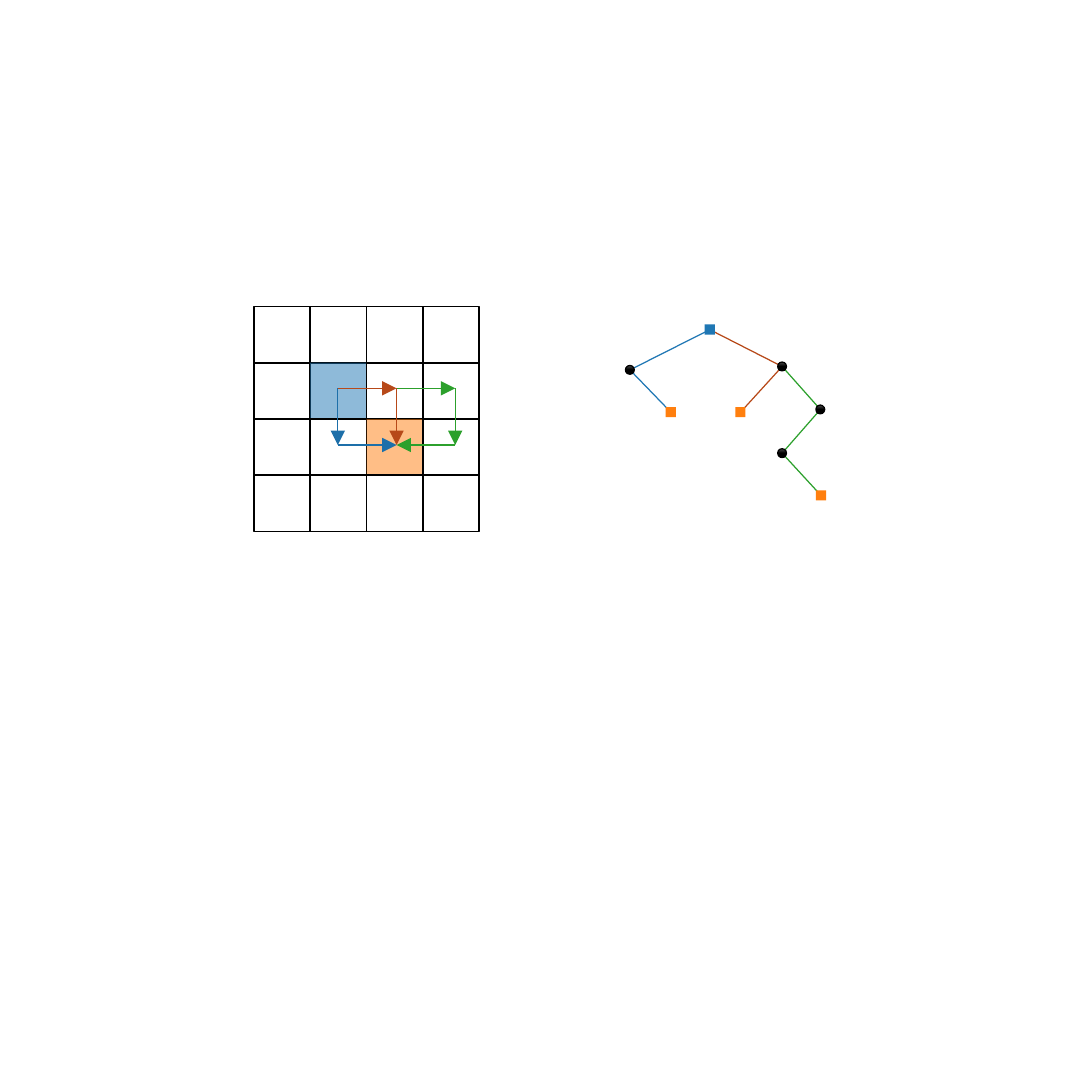
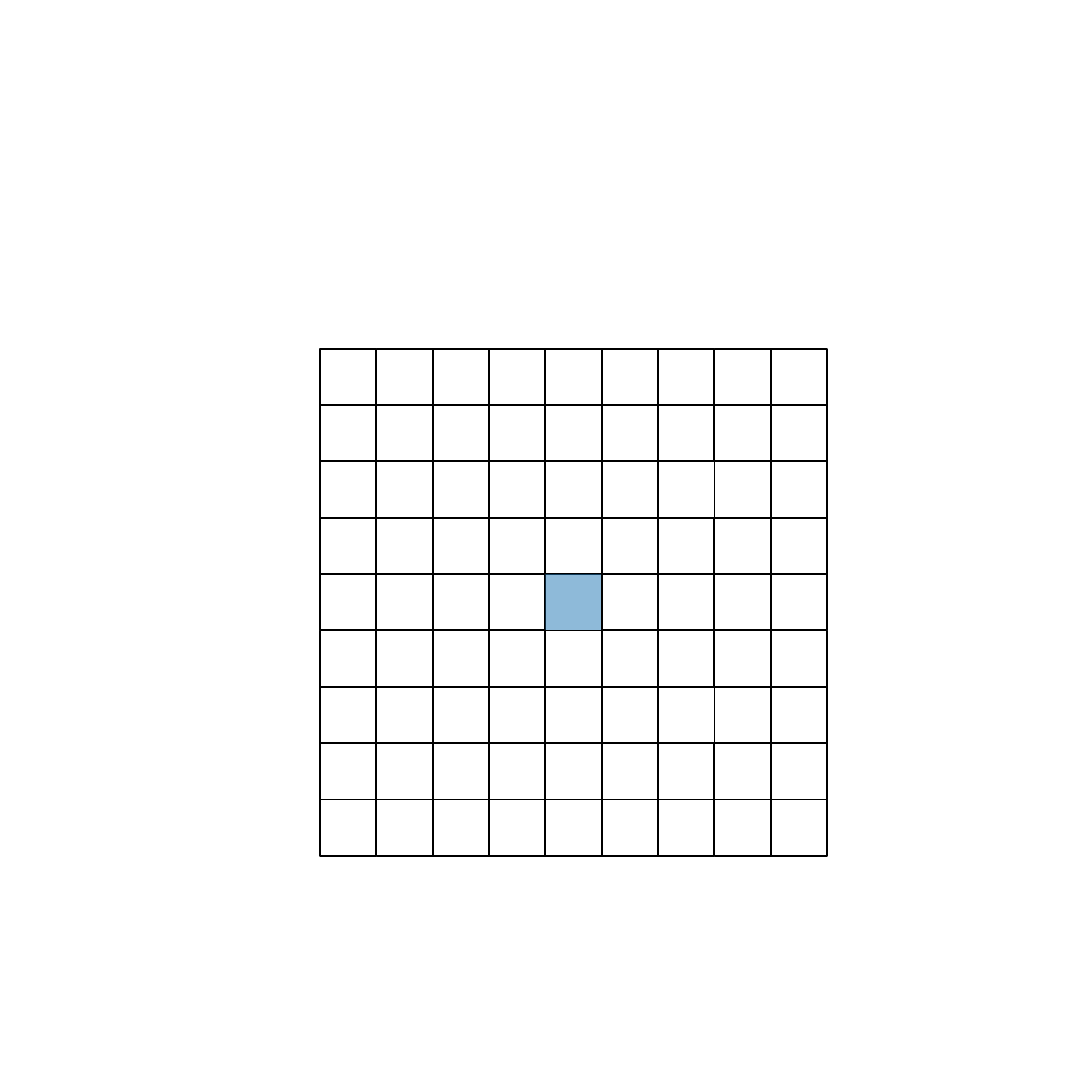
from lxml.etree import SubElement
from pptx import Presentation
from pptx.dml.color import RGBColor
from pptx.enum.shapes import MSO_CONNECTOR, MSO_SHAPE
from pptx.oxml.ns import qn
from pptx.util import Cm, Pt

BLACK, GREY = "000000", "4B4B4B"
BLUE, ORANGE, GREEN = "1F77B4", "FF7F0E", "2CA02C"
RUST, DARK_BLUE = "B74919", "1D6FA9"
THIN, CELL_BORDER = 0.5, 0.75
CIRCLE_SIZE, SQUARE_SIZE = 0.13, 0.15


def rgb(hex_string):
    return RGBColor.from_string(hex_string)


def add_plain(slide, kind, left, top, size):
    """Square-sized preset shape without fill, line or shadow."""
    shape = slide.shapes.add_shape(kind, Cm(left), Cm(top), Cm(size), Cm(size))
    shape.shadow.inherit = False
    shape.fill.background()
    shape.line.fill.background()
    return shape


def set_fill(shape, color, opacity=100):
    shape.fill.solid()
    shape.fill.fore_color.rgb = rgb(color)
    if opacity < 100:
        color_node = shape.fill._xPr.find(qn("a:solidFill"))[0]
        SubElement(color_node, qn("a:alpha"), val=str(opacity * 1000))


def set_line(line, color, width):
    line.color.rgb = rgb(color)
    line.width = Pt(width)


def add_line(slide, start, end, color, arrow=False):
    edge = slide.shapes.add_connector(
        MSO_CONNECTOR.STRAIGHT, *(Cm(value) for value in (*start, *end)))
    set_line(edge.line, color, THIN)
    if arrow:
        SubElement(edge.line._get_or_add_ln(), qn("a:tailEnd"), type="triangle")
    SubElement(edge._element.spPr, qn("a:effectLst"))


def add_grid(slide, left, top, side, count, marked, skipped=()):
    """Square grid; marked maps (row, column) to a half-transparent colour."""
    pitch = side / count
    for row in range(count):
        for column in range(count):
            if (row, column) in skipped:
                continue
            cell = add_plain(slide, MSO_SHAPE.RECTANGLE,
                             left + column * pitch, top + row * pitch, pitch)
            if (row, column) in marked:
                set_fill(cell, marked[row, column], opacity=50)
            else:
                set_line(cell.line, BLACK, CELL_BORDER)


def add_routes(slide, left, top, step_x, step_y):
    """Arrows between stops, given as (column, row) from the start cell."""
    steps = [
        ((1, 0), (2, 0), GREEN),
        ((2, 0), (2, 1), GREEN),
        ((2, 1), (1, 1), GREEN),
        ((1, 0), (1, 1), RUST),
        ((0, 0), (0, 1), DARK_BLUE),
        ((0, 1), (1, 1), DARK_BLUE),
        ((0, 0), (1, 0), RUST),
    ]
    for start, end, color in steps:
        points = [(left + column * step_x, top + row * step_y)
                  for column, row in (start, end)]
        add_line(slide, *points, color, arrow=True)


def add_circle_node(slide, x, y):
    half = CIRCLE_SIZE / 2
    circle = add_plain(slide, MSO_SHAPE.OVAL, x - half, y - half, CIRCLE_SIZE)
    circle.fill.gradient()
    circle.fill.gradient_angle = 270
    light, dark = circle.fill.gradient_stops
    light.color.rgb, dark.color.rgb = rgb(GREY), rgb(BLACK)
    light.position, dark.position = 0, 0.5
    set_line(circle.line, BLACK, THIN)


def add_square_node(slide, x, y, color):
    half = SQUARE_SIZE / 2
    square = add_plain(slide, MSO_SHAPE.RECTANGLE, x - half, y - half, SQUARE_SIZE)
    set_fill(square, color)


def add_tree(slide, left, top):
    """Search tree of the routes; node centres are relative to the corner."""
    offsets = {
        "root": (1.23, 0.08),
        "left": (0.06, 0.67),
        "left goal": (0.66, 1.29),
        "right": (2.29, 0.62),
        "right goal": (1.68, 1.29),
        "detour": (2.85, 1.25),
        "turn": (2.29, 1.89),
        "detour goal": (2.86, 2.51),
    }
    nodes = {name: (left + x, top + y) for name, (x, y) in offsets.items()}

    # Branches
    branches = [
        (BLUE, ["root", "left", "left goal"]),
        (RUST, ["root", "right", "right goal"]),
        (GREEN, ["right", "detour", "turn", "detour goal"]),
    ]
    for color, names in branches:
        for parent, child in zip(names, names[1:]):
            add_line(slide, nodes[parent], nodes[child], color)

    # Inner nodes, then root and goals
    for name in ("left", "right", "detour", "turn"):
        add_circle_node(slide, *nodes[name])
    add_square_node(slide, *nodes["root"], BLUE)
    for name in ("left goal", "right goal", "detour goal"):
        add_square_node(slide, *nodes[name], ORANGE)


def build_route_slide(slide):
    left, top = 3.72, 4.49
    add_grid(slide, left, top, 3.3, 4, {(1, 1): BLUE, (2, 2): ORANGE})
    add_routes(slide, left + 1.23, top + 1.2, 0.86, 0.83)
    add_tree(slide, 9.17, 4.75)


def build_start_slide(slide):
    # Cells whose borders are drawn by their neighbours alone
    open_cells = {(row, column) for first in (1, 2)
                  for row in (first, first + 4)
                  for column in (first, first + 4)}
    add_grid(slide, 4.69, 5.11, 7.43, 9, {(4, 4): BLUE}, open_cells)


presentation = Presentation()
presentation.slide_width = presentation.slide_height = Cm(16)
blank = presentation.slide_layouts[6]
for build in (build_route_slide, build_start_slide):
    build(presentation.slides.add_slide(blank))
presentation.save("out.pptx")
